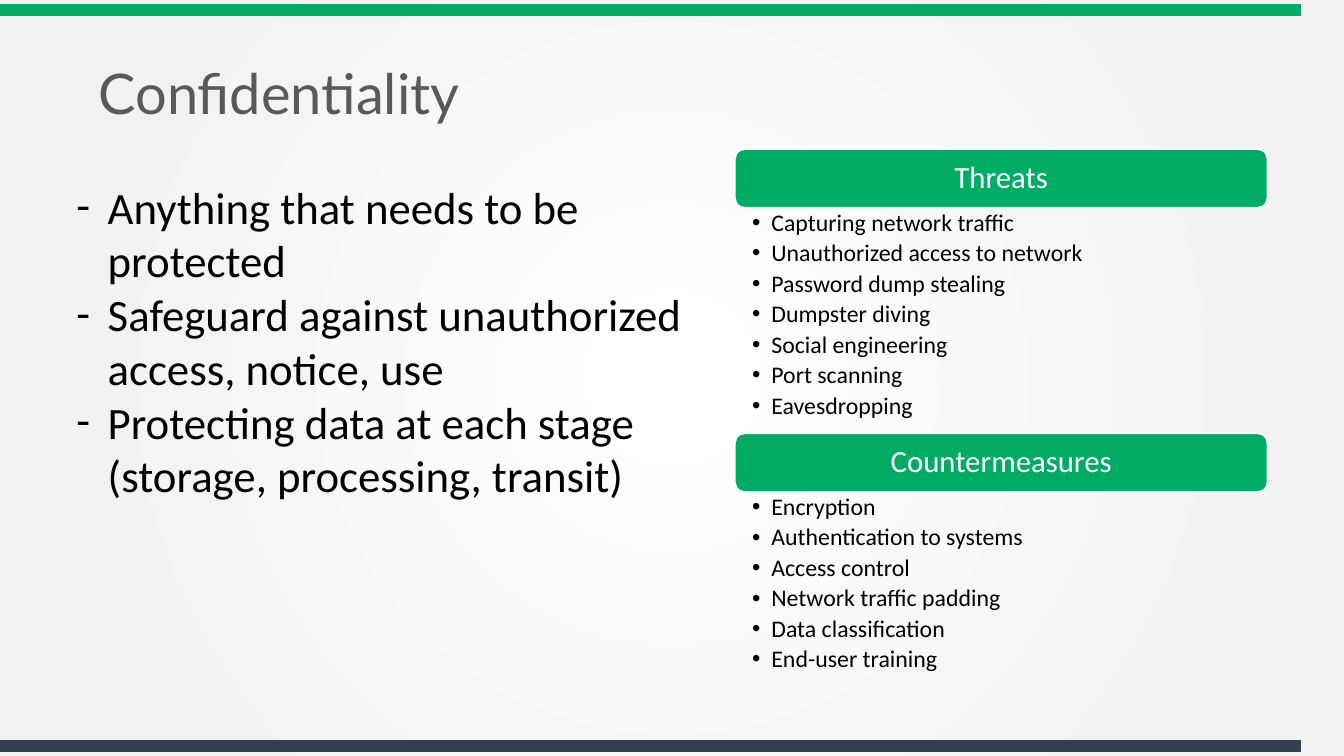
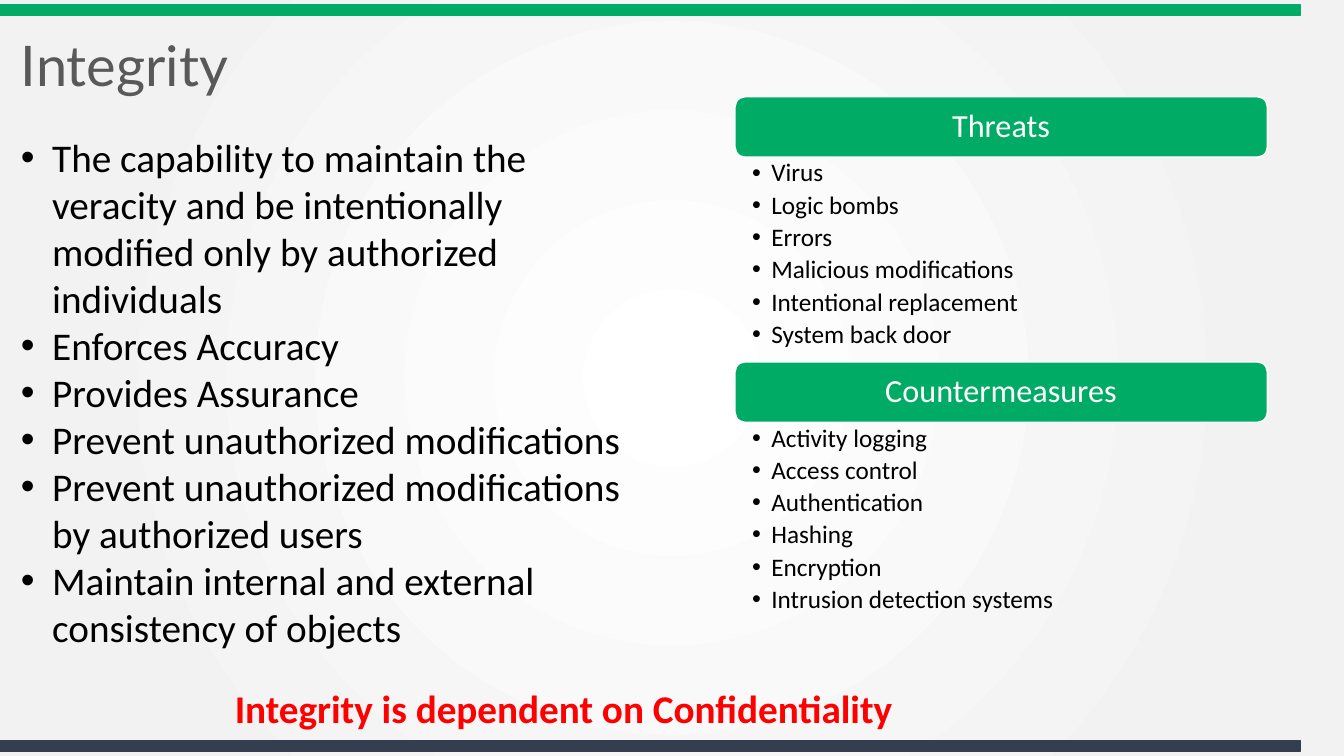
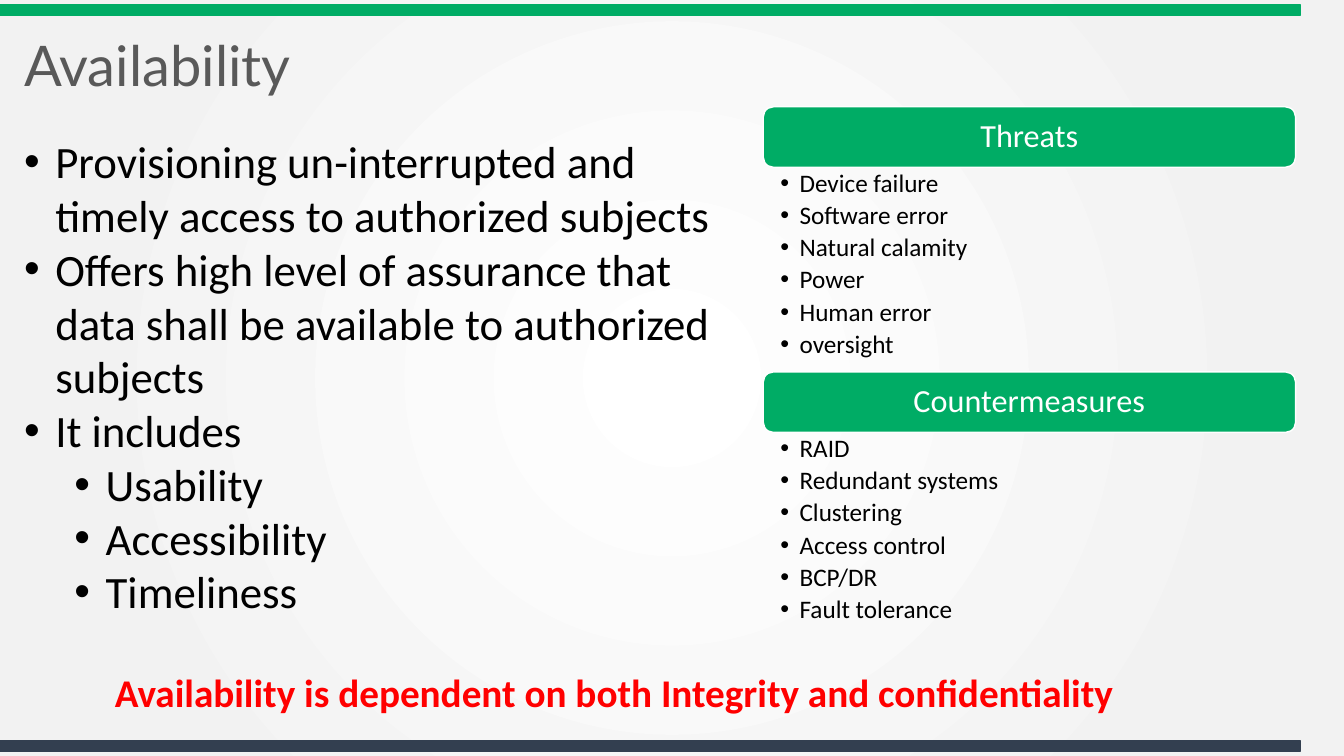
from lxml import etree
from pptx import Presentation
from pptx.dml.color import RGBColor
from pptx.enum.shapes import MSO_SHAPE
from pptx.enum.text import MSO_ANCHOR
from pptx.oxml import parse_xml
from pptx.oxml.ns import nsdecls, qn
from pptx.util import Inches, Pt

COLORS = {
    "green": "00AC65", "navy": "333F50", "title": "595959", "text": "000000",
    "alert": "FF0000", "white": "FFFFFF", "edge": "F2F2F2",
}
TITLE_FONT, BODY_FONT = "Lato", "Calibri"
PANEL_WIDTH = 5.28
LIST_PADDING = 0.14
BANDS = [(0.05, "green"), (7.35, "navy")]

# A body item is its text, or a (text, level) pair.
SLIDES = [
    {
        "title": ("Confidentiality", 0.88, 0.56),
        "body": {
            "box": (0.66, 1.73, 6.39, 3.87), "size": 32, "bullet": "-",
            "items": [
                "Anything that needs to be protected",
                "Safeguard against unauthorized access, notice, use",
                "Protecting data at each stage (storage, processing, transit)",
            ],
        },
        "panels": {
            "left": 7.29, "top": 1.48, "header_height": 0.58,
            "header_size": 22, "item_size": 17, "item_height": 0.3,
            "lists": {
                "Threats": [
                    "Capturing network traffic", "Unauthorized access to network",
                    "Password dump stealing", "Dumpster diving",
                    "Social engineering", "Port scanning", "Eavesdropping",
                ],
                "Countermeasures": [
                    "Encryption", "Authentication to systems", "Access control",
                    "Network traffic padding", "Data classification",
                    "End-user training",
                ],
            },
        },
    },
    {
        "title": ("Integrity", 0.11, 0.28),
        "body": {
            "box": (0.11, 1.27, 6.46, 5.28), "size": 28, "bullet": "•",
            "items": [
                "The capability to maintain the veracity and be intentionally "
                "modified only by authorized individuals",
                "Enforces Accuracy",
                "Provides Assurance",
                "Prevent unauthorized modifications",
                "Prevent unauthorized modifications by authorized users",
                "Maintain internal and external consistency of objects",
            ],
        },
        "panels": {
            "left": 7.29, "top": 0.96, "header_height": 0.6,
            "header_size": 23, "item_size": 18, "item_height": 0.32,
            "lists": {
                "Threats": [
                    "Virus", "Logic bombs", "Errors", "Malicious modifications",
                    "Intentional replacement", "System back door",
                ],
                "Countermeasures": [
                    "Activity logging", "Access control", "Authentication",
                    "Hashing", "Encryption", "Intrusion detection systems",
                ],
            },
        },
        "note": ("Integrity is dependent on Confidentiality", (2.23, 6.74, 9.41, 0.57)),
    },
    {
        "title": ("Availability", 0.14, 0.28),
        "body": {
            "box": (0.14, 1.28, 7.2, 5.49), "size": 32, "bullet": "•",
            "items": [
                "Provisioning un-interrupted and timely access to authorized subjects",
                "Offers high level of assurance that data shall be available to "
                "authorized subjects",
                "It includes",
                ("Usability", 1), ("Accessibility", 1), ("Timeliness", 1),
            ],
        },
        "panels": {
            "left": 7.57, "top": 1.06, "header_height": 0.6,
            "header_size": 23, "item_size": 18, "item_height": 0.32,
            "lists": {
                "Threats": [
                    "Device failure", "Software error", "Natural calamity",
                    "Power", "Human error", "oversight",
                ],
                "Countermeasures": [
                    "RAID", "Redundant systems", "Clustering",
                    "Access control", "BCP/DR", "Fault tolerance",
                ],
            },
        },
        "note": ("Availability is dependent on both Integrity and confidentiality",
                 (1.04, 6.58, 10.8, 0.57)),
    },
]


def rgb(name):
    return RGBColor.from_string(COLORS[name])


def set_background(layout):
    """Give the layout a circular gradient, light in the middle."""
    stops = "".join(
        f'<a:gs pos="{position}000"><a:srgbClr val="{COLORS[name]}"/></a:gs>'
        for position, name in [(0, "white"), (81, "edge"), (100, "edge")])
    layout.element.cSld.insert(0, parse_xml(
        f'<p:bg {nsdecls("p", "a")}><p:bgPr><a:gradFill><a:gsLst>{stops}</a:gsLst>'
        '<a:path path="circle"><a:fillToRect l="50000" t="50000" r="50000" b="50000"/>'
        '</a:path></a:gradFill><a:effectLst/></p:bgPr></p:bg>'))


def add_bullet(paragraph, bullet, indent, hanging):
    properties = paragraph._p.get_or_add_pPr()
    properties.set("marL", str(Inches(indent)))
    properties.set("indent", str(-Inches(hanging)))
    font = "Arial" if bullet == "•" else BODY_FONT
    etree.SubElement(properties, qn("a:buFont")).set("typeface", font)
    etree.SubElement(properties, qn("a:buChar")).set("char", bullet)


def write(shape, items, size, color="text", font=BODY_FONT, bold=False, bullet=None,
          hanging=0.31, line_spacing=None, space_after=None,
          anchor=MSO_ANCHOR.TOP, insets=(0.1, 0.05)):
    """Fill a shape with one paragraph per item; insets are (sides, top and bottom)."""
    frame = shape.text_frame
    frame.word_wrap = True
    frame.vertical_anchor = anchor
    frame.margin_left = frame.margin_right = Inches(insets[0])
    frame.margin_top = frame.margin_bottom = Inches(insets[1])
    for index, item in enumerate(items):
        text, level = (item, 0) if isinstance(item, str) else item
        paragraph = frame.add_paragraph() if index else frame.paragraphs[0]
        paragraph.level = level
        if bullet:
            add_bullet(paragraph, bullet, hanging + 0.5 * level, hanging)
        paragraph.line_spacing = line_spacing
        paragraph.space_after = space_after
        run = paragraph.add_run()
        run.text = text
        run.font.name, run.font.size, run.font.bold = font, Pt(size), bold
        run.font.color.rgb = rgb(color)


def add_text(slide, box, items, size, **style):
    write(slide.shapes.add_textbox(*map(Inches, box)), items, size, **style)


def add_block(slide, kind, box, fill, line):
    shape = slide.shapes.add_shape(kind, *map(Inches, box))
    shape.shadow.inherit = False
    shape.fill.solid()
    shape.fill.fore_color.rgb = rgb(fill)
    shape.line.color.rgb = rgb(line)
    shape.line.width = Pt(1)
    return shape


def add_panels(slide, panels):
    """Stack each header bar and its list down the right side."""
    left, top, size = panels["left"], panels["top"], panels["item_size"]
    for heading, items in panels["lists"].items():
        header = add_block(slide, MSO_SHAPE.ROUNDED_RECTANGLE,
                           (left, top, PANEL_WIDTH, panels["header_height"]),
                           "green", "white")
        write(header, [heading], panels["header_size"], color="white",
              line_spacing=0.9, anchor=MSO_ANCHOR.MIDDLE, insets=(0.1, 0.1))
        top += panels["header_height"]
        height = len(items) * panels["item_height"] + LIST_PADDING
        if size == 18:
            height = 2.03
        add_text(slide, (left, top, PANEL_WIDTH, height), items, size, bullet="•",
                 hanging=0.19, line_spacing=0.9, space_after=Pt(0.2 * size),
                 insets=(0.17, 0.03))
        top += height


def add_slide(presentation, layout, content):
    slide = presentation.slides.add_slide(layout)
    for top, color in BANDS:
        add_block(slide, MSO_SHAPE.RECTANGLE, (0, top, 12.9, 0.1), color, color)
    title, left, top = content["title"]
    add_text(slide, (left, top, 11.7, 0.8), [title], 40, color="title",
             font=TITLE_FONT, line_spacing=0.9, anchor=MSO_ANCHOR.MIDDLE)
    body = content["body"]
    add_text(slide, body["box"], body["items"], body["size"], bullet=body["bullet"])
    add_panels(slide, content["panels"])
    if "note" in content:
        note, box = content["note"]
        add_text(slide, box, [note], 28, color="alert", bold=True)


def main():
    presentation = Presentation()
    presentation.slide_width, presentation.slide_height = Inches(13.33), Inches(7.5)
    blank = presentation.slide_layouts[6]
    set_background(blank)
    for content in SLIDES:
        add_slide(presentation, blank, content)
    presentation.save("out.pptx")


if __name__ == "__main__":
    main()
